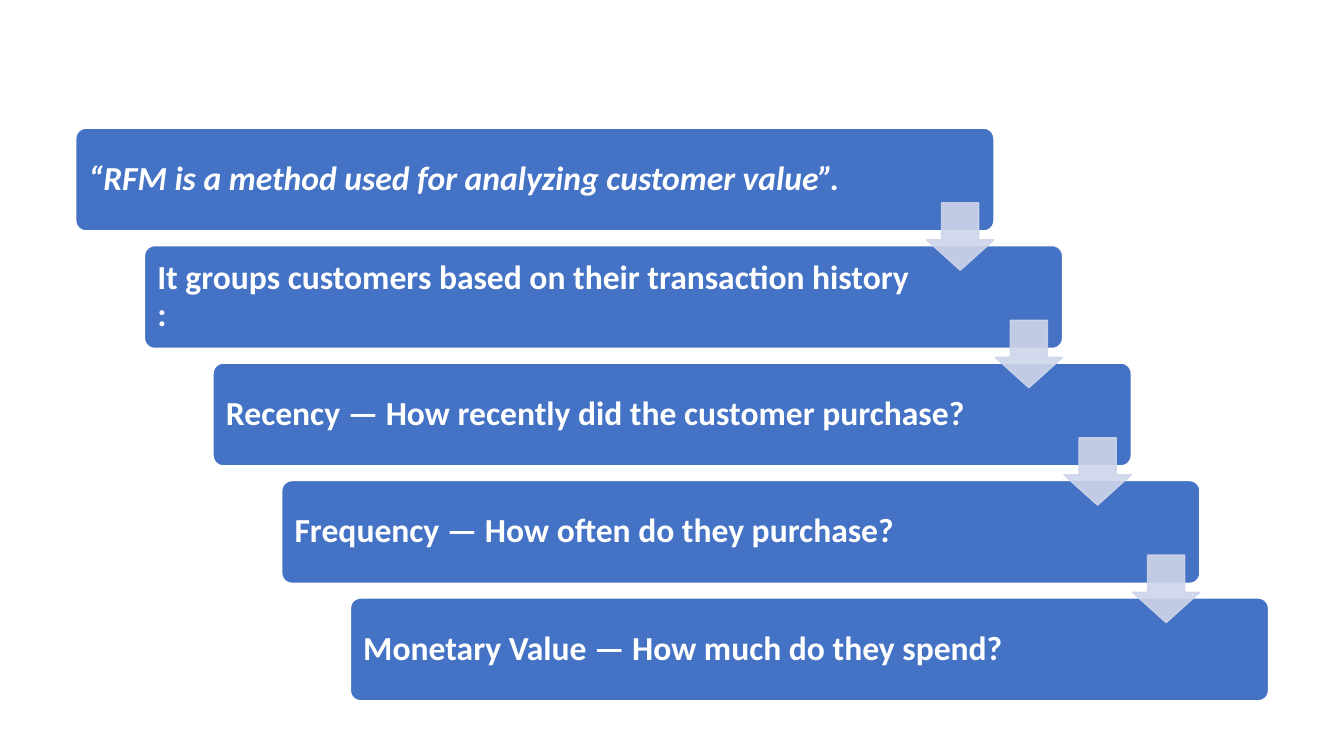
import dataclasses

import lxml.etree
import pptx
import pptx.dml.color
import pptx.enum.shapes
import pptx.enum.text
import pptx.oxml.ns
import pptx.slide
import pptx.util

Cm = pptx.util.Cm
Pt = pptx.util.Pt
MSO_SHAPE = pptx.enum.shapes.MSO_SHAPE

COLOURS = {"step": "4472C4", "arrow": "CFD5EA", "white": "FFFFFF"}
FIRST_LEFT, FIRST_TOP = 1.91, 3.23
SHIFT_RIGHT, SHIFT_DOWN = 1.73, 2.96
STEP_WIDTH, STEP_HEIGHT = 23.14, 2.59
ARROW_RIGHT, ARROW_DOWN, ARROW_SIZE = 21.44, 1.88, 1.7


@dataclasses.dataclass(frozen=True)
class Step:
    text: str
    italic: bool = False


STEPS = [
    Step("“RFM is a method used for analyzing customer value”.", italic=True),
    Step("It groups customers based on their transaction history :"),
    Step("Recency — How recently did the customer purchase?"),
    Step("Frequency — How often do they purchase?"),
    Step("Monetary Value — How much do they spend?"),
]


def rgb(name: str) -> pptx.dml.color.RGBColor:
    return pptx.dml.color.RGBColor.from_string(COLOURS[name])


def draw_step(slide: pptx.slide.Slide, position: int, step: Step) -> None:
    bar = slide.shapes.add_shape(
        MSO_SHAPE.ROUNDED_RECTANGLE,
        Cm(FIRST_LEFT + position * SHIFT_RIGHT),
        Cm(FIRST_TOP + position * SHIFT_DOWN),
        Cm(STEP_WIDTH),
        Cm(STEP_HEIGHT),
    )
    bar.adjustments[0] = 0.1
    bar.shadow.inherit = False
    bar.fill.solid()
    bar.fill.fore_color.rgb = rgb("step")
    bar.line.color.rgb = rgb("white")
    bar.line.width = Pt(1)

    frame = bar.text_frame
    frame.text = step.text
    frame.word_wrap = True
    frame.vertical_anchor = pptx.enum.text.MSO_ANCHOR.MIDDLE
    frame.margin_left = frame.margin_top = frame.margin_bottom = Cm(0.25)
    frame.margin_right = Cm(3.68)
    paragraph = frame.paragraphs[0]
    paragraph.alignment = pptx.enum.text.PP_ALIGN.LEFT
    paragraph.line_spacing = 0.9
    font = paragraph.runs[0].font
    font.name = "Calibri"
    font.size = Pt(24)
    font.bold = True
    font.italic = step.italic
    font.color.rgb = rgb("white")


def draw_arrow(slide: pptx.slide.Slide, position: int) -> None:
    arrow = slide.shapes.add_shape(
        MSO_SHAPE.DOWN_ARROW,
        Cm(FIRST_LEFT + ARROW_RIGHT + position * SHIFT_RIGHT),
        Cm(FIRST_TOP + ARROW_DOWN + position * SHIFT_DOWN),
        Cm(ARROW_SIZE),
        Cm(ARROW_SIZE),
    )
    arrow.adjustments[0] = 0.55
    arrow.adjustments[1] = 0.45
    arrow.shadow.inherit = False
    arrow.fill.solid()
    arrow.fill.fore_color.rgb = rgb("arrow")
    arrow.line.color.rgb = rgb("arrow")
    arrow.line.width = Pt(1)
    qn = pptx.oxml.ns.qn
    for colour in arrow.element.spPr.iter(qn("a:srgbClr")):
        lxml.etree.SubElement(colour, qn("a:alpha")).set("val", "90000")


def main() -> None:
    presentation = pptx.Presentation()
    presentation.slide_width = Cm(33.87)
    presentation.slide_height = Cm(19.05)
    slide = presentation.slides.add_slide(presentation.slide_layouts[6])
    for position, step in enumerate(STEPS):
        draw_step(slide, position, step)
    for position in range(len(STEPS) - 1):
        draw_arrow(slide, position)
    presentation.save("out.pptx")


if __name__ == "__main__":
    main()
